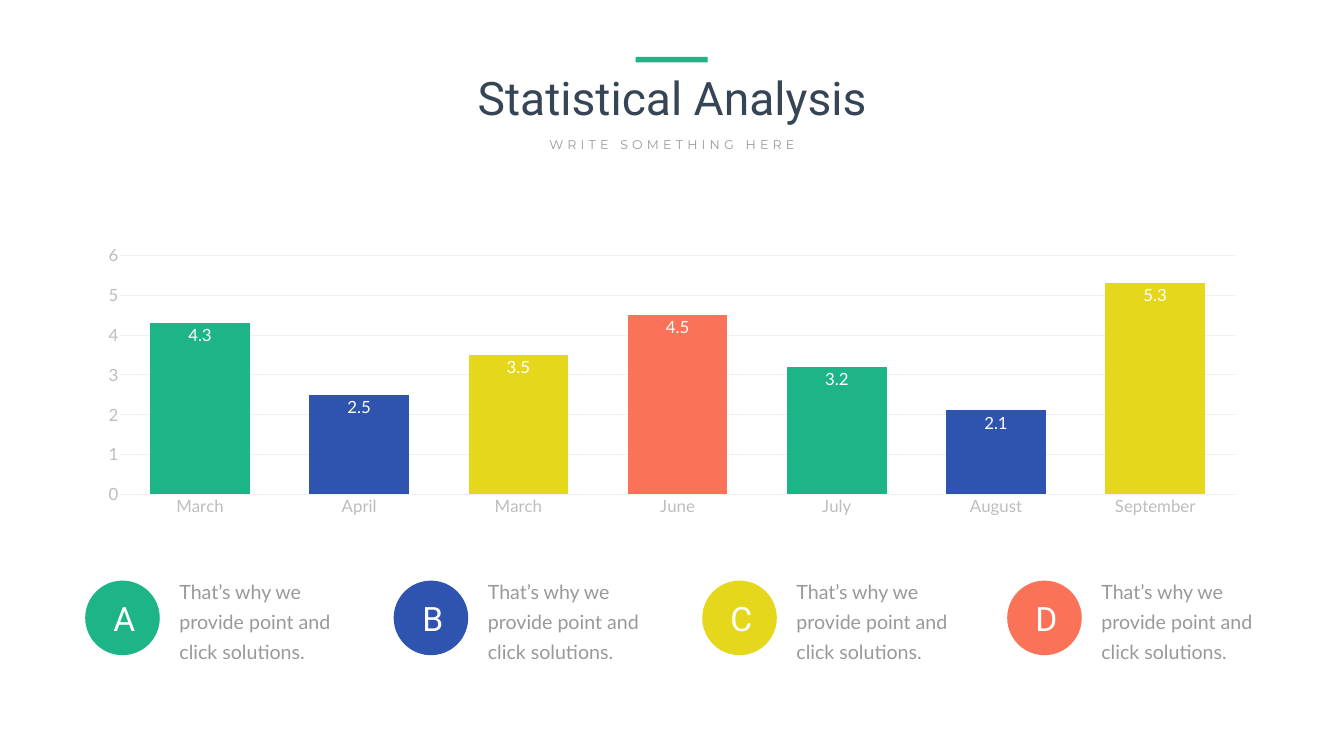
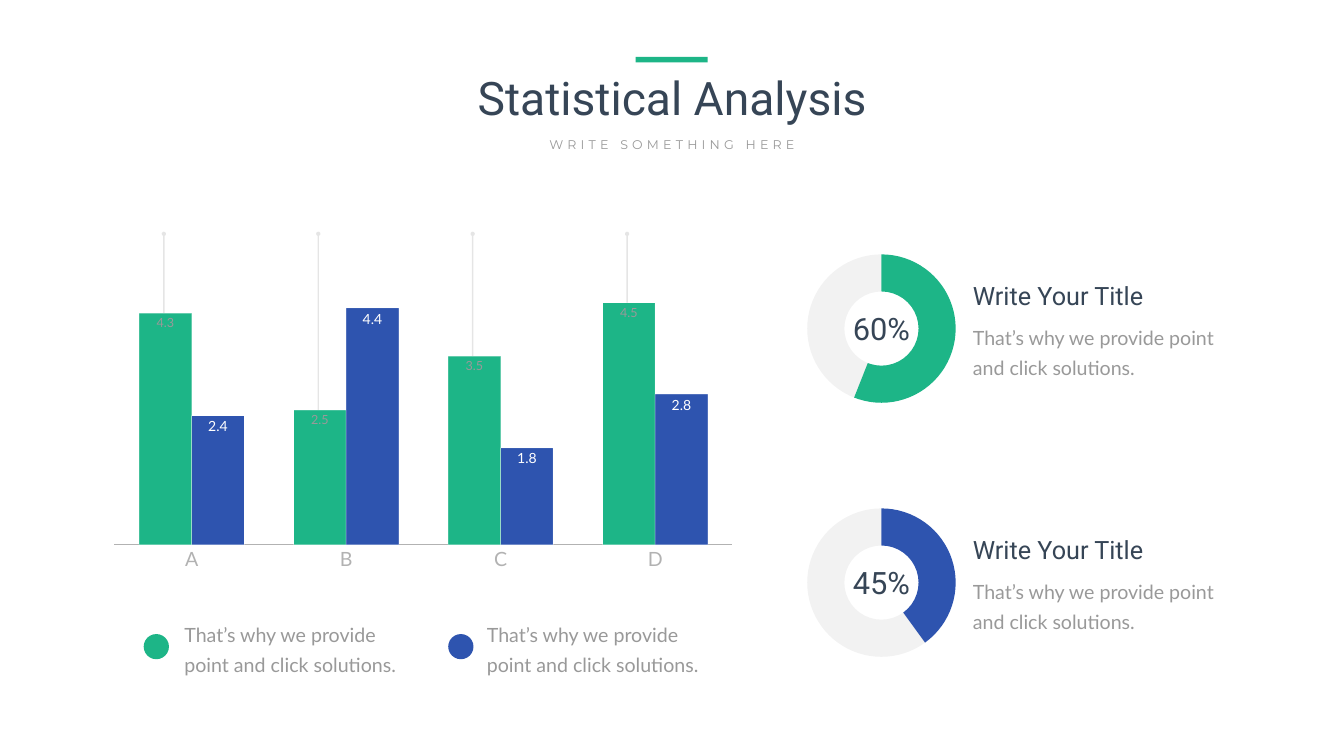
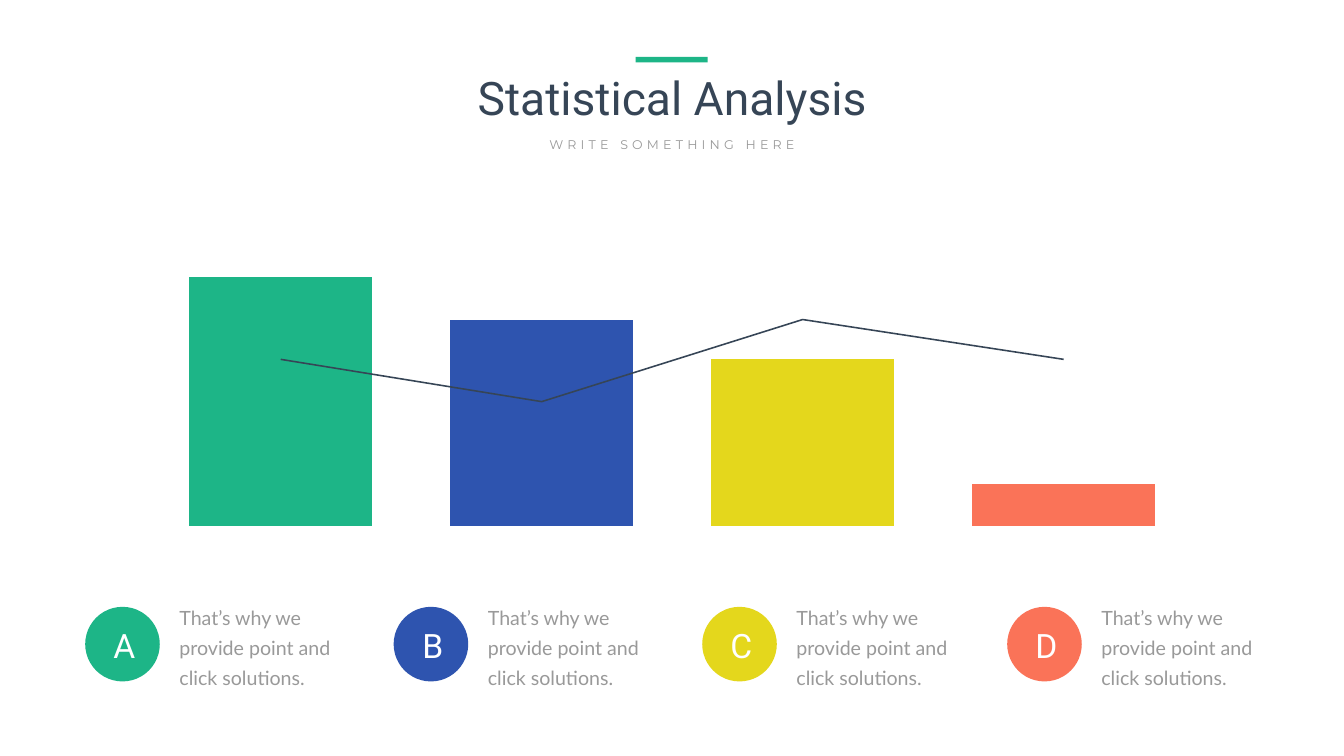
from pptx import Presentation
from pptx.chart.data import CategoryChartData
from pptx.dml.color import RGBColor
from pptx.enum.chart import XL_CHART_TYPE, XL_LABEL_POSITION, XL_MARKER_STYLE, XL_TICK_MARK
from pptx.enum.shapes import MSO_CONNECTOR, MSO_SHAPE
from pptx.enum.text import MSO_AUTO_SIZE, PP_ALIGN
from pptx.oxml import parse_xml
from pptx.oxml.ns import nsdecls
from pptx.util import Inches, Pt

CLUSTERED = XL_CHART_TYPE.COLUMN_CLUSTERED
DOUGHNUT = XL_CHART_TYPE.DOUGHNUT
INSIDE_END = XL_LABEL_POSITION.INSIDE_END
NO_MARKER = XL_MARKER_STYLE.NONE
NO_TICK = XL_TICK_MARK.NONE
STRAIGHT = MSO_CONNECTOR.STRAIGHT
RECTANGLE = MSO_SHAPE.RECTANGLE
OVAL = MSO_SHAPE.OVAL
GROW = MSO_AUTO_SIZE.SHAPE_TO_FIT_TEXT
LEFT = PP_ALIGN.LEFT
CENTER = PP_ALIGN.CENTER

COLORS = {
    "green": "1DB587", "blue": "2E54AF", "yellow": "E4D71C", "coral": "FA7358",
    "dark": "364556", "text": "999999", "axis": "BDBDBD", "baseline": "B2B2B2",
    "grid": "F0F0F0", "gray": "808080", "white": "FFFFFF",
}
RGB = {name: RGBColor.from_string(value) for name, value in COLORS.items()}
PALETTE = ["green", "blue", "yellow", "coral"]
CAPTION = "That’s why we provide point and click solutions."

presentation = Presentation()
presentation.slide_width = Inches(26.66)
presentation.slide_height = Inches(15)
COLUMN = presentation.slide_width / 100
ROW = presentation.slide_height / 100


def place(left, top, width, height):
    return int(left * COLUMN), int(top * ROW), int(width * COLUMN), int(height * ROW)


def add_text(slide, box, text, size, font, color, alignment=LEFT, line_spacing=None):
    text_box = slide.shapes.add_textbox(*place(*box))
    frame = text_box.text_frame
    frame.word_wrap = True
    frame.auto_size = GROW
    paragraph = frame.paragraphs[0]
    paragraph.alignment = alignment
    if line_spacing:
        paragraph.line_spacing = Pt(line_spacing)
    run = paragraph.add_run()
    run.text = text
    run.font.size = Pt(size)
    run.font.name = font
    run.font.color.rgb = RGB[color]
    return text_box


slides = [presentation.slides.add_slide(presentation.slide_layouts[6]) for _ in range(3)]
monthly_slide, comparison_slide, trend_slide = slides

DISC_LEFTS = [6.34, 29.29, 52.25, 74.94]
DISC_TOPS = {monthly_slide.slide_id: 76.8, trend_slide.slide_id: 80.27}
DOTS = [(10.69, 13.35, "green"), (33.35, 35.86, "blue")]

for slide in slides:
    solids = [(RECTANGLE, (47.3, 7.53, 5.36, 0.73), "green")]
    if slide.slide_id in DISC_TOPS:
        disc_top = DISC_TOPS[slide.slide_id]
        solids += [(OVAL, (left, disc_top, 5.55, 9.87), color)
                   for left, color in zip(DISC_LEFTS, PALETTE)]
    else:
        solids += [(OVAL, (left, 83.87, 1.88, 3.33), color) for left, _, color in DOTS]
    for kind, box, color in solids:
        shape = slide.shapes.add_shape(kind, *place(*box))
        shape.shadow.inherit = False
        shape.fill.solid()
        shape.fill.fore_color.rgb = RGB[color]
        shape.line.fill.background()

    add_text(slide, (29.03, 8.8, 41.97, 8.07), "Statistical Analysis", 66, "Roboto", "dark", CENTER)
    subtitle = add_text(slide, (38.82, 17.73, 22.36, 2.67), "WRITE SOMETHING HERE",
                        18, "Montserrat", "text", CENTER)
    subtitle.element.xpath(".//a:rPr")[0].set("spc", "600")

    if slide.slide_id in DISC_TOPS:
        for left, letter in zip(DISC_LEFTS, "ABCD"):
            add_text(slide, (left + 1.24, disc_top + 2, 3.34, 6.07), letter,
                     48, "Roboto", "white", CENTER)
            add_text(slide, (left + 6.64, disc_top - 1.33, 12.04, 12.27), CAPTION,
                     28, "Lato", "text", LEFT, 43)

charts = []
translucent = []

data = CategoryChartData()
data.categories = ["March", "April", "March", "June", "July", "August", "September"]
data.add_series("Series 1", [4.3, 2.5, 3.5, 4.5, 3.2, 2.1, 5.3])
monthly = monthly_slide.shapes.add_chart(CLUSTERED, *place(6.34, 31.67, 87.28, 37.4), data).chart
charts.append((monthly, 24, "Lato"))
monthly.plots[0].gap_width = 60
monthly.plots[0].overlap = 7
monthly.value_axis.minimum_scale = 0
monthly.value_axis.maximum_scale = 6
monthly.value_axis.major_unit = 1
monthly.value_axis.format.line.fill.background()
grid_line = monthly.value_axis.major_gridlines.format.line
for line in (grid_line, monthly.category_axis.format.line):
    line.color.rgb = RGB["grid"]
    line.width = Pt(0.75)

for index in range(4):
    x = int((12.19 + 11.49 * index) * COLUMN)
    stem = comparison_slide.shapes.add_connector(STRAIGHT, x, int(71 * ROW), x, int(30.93 * ROW))
    stem.line.color.rgb = RGB["gray"]
    stem.line.width = Pt(2)
    stem.element.xpath(".//a:ln")[0].append(parse_xml(f'<a:tailEnd {nsdecls("a")} type="oval"/>'))
    stem.element.spPr.append(parse_xml(f'<a:effectLst {nsdecls("a")}/>'))
    translucent.append((stem.element, 20))

data = CategoryChartData()
data.categories = list("ABCD")
data.add_series("Series 1", [4.3, 2.5, 3.5, 4.5])
data.add_series("Series 2", [2.4, 4.4, 1.8, 2.8])
comparison = comparison_slide.shapes.add_chart(
    CLUSTERED, *place(8.48, 36.47, 46.96, 41.87), data).chart
charts.append((comparison, 28, "Lato"))
comparison.plots[0].gap_width = 94
comparison.plots[0].overlap = 0
comparison.value_axis.minimum_scale = 0
comparison.value_axis.maximum_scale = 5
comparison.category_axis.format.line.color.rgb = RGB["baseline"]
comparison.category_axis.format.line.width = Pt(1.5)
for series in comparison.plots[0].series:
    series.format.line.color.rgb = RGB["white"]
    series.format.line.width = Pt(0.75)
    translucent.append((series.format.line.fill and comparison.element, 50))
translucent.pop()

for _, left, _ in DOTS:
    add_text(comparison_slide, (left, 81.2, 16.62, 8.27), CAPTION, 28, "Lato", "text", LEFT, 43)

for index, (share, label, color) in enumerate([(56, "60%", "green"), (40, "45%", "blue")]):
    down = 33.6 * index
    data = CategoryChartData()
    data.categories = ["1", "2"]
    data.add_series("Series 1", [share, 100 - share])
    ring = comparison_slide.shapes.add_chart(
        DOUGHNUT, *place(59.15, 32.73 + down, 12.87, 21.47), data).chart
    charts.append((ring, 10, "Calibri"))
    for hole in ring.element.xpath(".//c:holeSize"):
        hole.set("val", "75")
    for point_index, point_color in enumerate([color, "gray"]):
        fill = ring.plots[0].series[0].points[point_index].format.fill
        fill.solid()
        fill.fore_color.rgb = RGB[point_color]
    translucent.append((ring.element, 10))
    add_text(comparison_slide, (72.02, 41.93 + down, 19.5, 8.27), CAPTION,
             28, "Lato", "text", LEFT, 43)
    add_text(comparison_slide, (72.02, 36.8 + down, 16.54, 4.73), "Write Your Title",
             36, "Roboto", "dark")
    add_text(comparison_slide, (61.78, 40.67 + down, 7.61, 5.6), label,
             44, "Roboto", "dark", CENTER)

data = CategoryChartData()
data.categories = list("1234")
data.add_series("Series 1", [100, 83, 67, 17])
data.add_series("Series 2", [None] * 4)
data.add_series("Series 3", [67, 50, 83, 67])
trend = trend_slide.shapes.add_chart(CLUSTERED, *place(9.56, 30.27, 80.91, 40.13), data).chart
charts.append((trend, 10, "Calibri"))
trend.plots[0].gap_width = 43
trend.plots[0].overlap = 100
trend.value_axis.minimum_scale = 0
trend.value_axis.maximum_scale = 117
trend.category_axis.visible = False

bar_plot = trend.element.xpath(".//c:barChart")[0]
line_series = bar_plot.xpath("./c:ser")[2]
for flag in line_series.xpath("./c:invertIfNegative"):
    line_series.remove(flag)
axis_ids = "".join(f'<c:axId val="{axis.get("val")}"/>' for axis in bar_plot.xpath("./c:axId"))
line_plot = parse_xml(
    f'<c:lineChart {nsdecls("c")}><c:grouping val="standard"/><c:varyColors val="0"/>'
    f'<c:marker val="1"/>{axis_ids}</c:lineChart>')
line_plot.insert(2, line_series)
bar_plot.addnext(line_plot)
trend_line = trend.plots[1].series[0]
trend_line.format.line.color.rgb = RGB["dark"]
trend_line.format.line.width = Pt(2.25)
trend_line.marker.style = NO_MARKER
trend_line.smooth = False

for chart, size, font in charts:
    chart.has_legend = False
    chart.has_title = False
    chart.font.size = Pt(size)
    chart.font.name = font
    chart.font.color.rgb = RGB["text"]
    chart.plots[0].vary_by_categories = False

for chart, tick_color in [(monthly, "axis"), (comparison, "baseline"), (trend, "axis")]:
    for axis in (chart.category_axis, chart.value_axis):
        axis.major_tick_mark = NO_TICK
        axis.minor_tick_mark = NO_TICK
        axis.tick_labels.font.size = chart.font.size
        axis.tick_labels.font.name = chart.font.name
        axis.tick_labels.font.color.rgb = RGB[tick_color]
    if chart is not monthly:
        chart.value_axis.visible = False
        chart.value_axis.has_major_gridlines = False
    for series, color in zip(chart.plots[0].series, PALETTE):
        series.invert_if_negative = False
        series.format.fill.solid()
        series.format.fill.fore_color.rgb = RGB[color]

MONTH_COLORS = PALETTE + ["green", "blue", "yellow"]
for chart, point_colors in [(monthly, MONTH_COLORS), (trend, PALETTE)]:
    for index, color in enumerate(point_colors):
        fill = chart.plots[0].series[0].points[index].format.fill
        fill.solid()
        fill.fore_color.rgb = RGB[color]

for chart, series_index, size, color in [
        (monthly, 0, 24, "white"), (comparison, 0, 18, "text"), (comparison, 1, 20, "white")]:
    labels = chart.plots[0].series[series_index].data_labels
    labels.show_value = True
    labels.position = INSIDE_END
    labels.font.size = Pt(size)
    labels.font.name = "Lato"
    labels.font.color.rgb = RGB[color]

for chart, x, y, width, height in [(comparison, 0, 0, 0.98, 0.85), (trend, 0.02, 0.02, 0.96, 0.96)]:
    plot_area = chart.element.xpath(".//c:plotArea")[0]
    for layout in plot_area.xpath("./c:layout"):
        plot_area.remove(layout)
    plot_area.insert(0, parse_xml(
        f'<c:layout {nsdecls("c")}><c:manualLayout><c:layoutTarget val="inner"/>'
        f'<c:xMode val="edge"/><c:yMode val="edge"/><c:x val="{x}"/><c:y val="{y}"/>'
        f'<c:w val="{width}"/><c:h val="{height}"/></c:manualLayout></c:layout>'))

for element, opacity in translucent:
    see_through = f'.//a:srgbClr[@val="{COLORS["gray"]}"] | .//a:ln//a:srgbClr[@val="{COLORS["white"]}"]'
    for color in element.xpath(see_through):
        color.append(parse_xml(f'<a:alpha {nsdecls("a")} val="{opacity * 1000}"/>'))

presentation.save("out.pptx")
